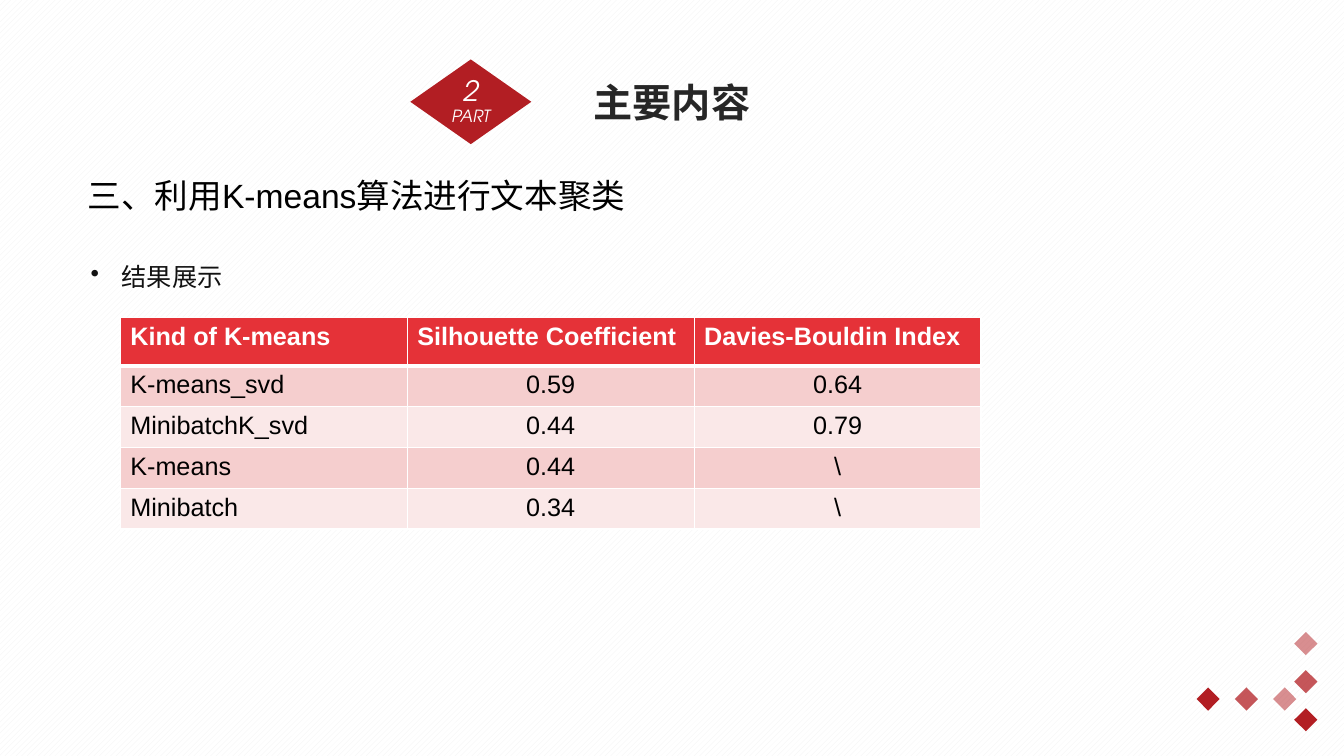
from dataclasses import dataclass

from lxml import etree
from pptx import Presentation
from pptx.dml.color import RGBColor
from pptx.enum.dml import MSO_PATTERN
from pptx.enum.shapes import MSO_SHAPE
from pptx.enum.text import MSO_ANCHOR, MSO_AUTO_SIZE, PP_ALIGN
from pptx.oxml.ns import qn
from pptx.util import Inches, Pt

DIAMOND = MSO_SHAPE.DIAMOND
DIAGONAL = MSO_PATTERN.WIDE_UPWARD_DIAGONAL
MIDDLE = MSO_ANCHOR.MIDDLE
GROW = MSO_AUTO_SIZE.SHAPE_TO_FIT_TEXT
LEFT, CENTER = PP_ALIGN.LEFT, PP_ALIGN.CENTER

# Grid: 100 columns by 100 rows over the whole slide
WIDTH, HEIGHT = Inches(13.33), Inches(7.5)


def col(n: float) -> int:
    return round(WIDTH * n / 100)


def row(n: float) -> int:
    return round(HEIGHT * n / 100)


@dataclass(frozen=True)
class Theme:
    accent: str = "B21E23"
    header: str = "E53238"
    bands: tuple = ("F5CECE", "FAE8E8")
    white: str = "FFFFFF"
    hatch: str = "F2F2F2"
    black: str = "000000"
    title: str = "262626"
    bullet: str = "121212"
    display_font: str = "TeX Gyre Adventor"
    body_font: str = "Arial"
    bullet_font: str = "Calibri"
    title_size: int = 28
    heading_size: int = 24
    number_size: int = 20
    body_size: int = 18
    part_size: int = 12


THEME = Theme()


@dataclass(frozen=True)
class Box:
    x: float
    y: float
    w: float
    h: float

    def emu(self) -> tuple:
        return col(self.x), row(self.y), col(self.w), row(self.h)


@dataclass(frozen=True)
class Style:
    font: str
    size: int
    color: str
    bold: bool = False
    italic: bool = False
    align: int = LEFT


@dataclass(frozen=True)
class Label:
    box: Box
    text: str
    style: Style
    bulleted: bool = False


@dataclass(frozen=True)
class Trail:
    """Three diamonds at equal steps."""
    x: float
    y: float
    dx: float
    dy: float
    rotation: int


def write(p, text: str, style: Style) -> None:
    p.text, p.alignment = text, style.align
    f = p.font
    f.name, f.size = style.font, Pt(style.size)
    f.bold, f.italic = style.bold, style.italic
    f.color.rgb = RGBColor.from_string(style.color)


def add_label(s, label: Label) -> None:
    tf = s.shapes.add_textbox(*label.box.emu()).text_frame
    tf.word_wrap, tf.auto_size = True, GROW
    p = tf.paragraphs[0]
    write(p, label.text, label.style)
    if label.bulleted:
        pPr = p._p.get_or_add_pPr()
        indent = Inches(0.31)
        pPr.set("marL", str(indent))
        pPr.set("indent", str(-indent))
        bullet = etree.Element(qn("a:buChar"), char="•")
        pPr.insert(0, bullet)


def add_diamond(shapes, box: Box, opacity: int = 100):
    sp = shapes.add_shape(DIAMOND, *box.emu())
    sp.shadow.inherit = False
    sp.line.fill.background()
    sp.fill.solid()
    sp.fill.fore_color.rgb = RGBColor.from_string(THEME.accent)
    if opacity < 100:
        color = sp.fill._xPr.find(qn("a:solidFill"))[0]
        etree.SubElement(color, qn("a:alpha"), val=str(opacity * 1000))
    return sp


def add_trail(s, trail: Trail) -> None:
    group = s.shapes.add_group_shape()
    for i, opacity in enumerate((50, 75, 100)):
        box = Box(trail.x + i * trail.dx, trail.y + i * trail.dy, 1.72, 3.07)
        add_diamond(group.shapes, box, opacity).rotation = trail.rotation


def add_badge(s, box: Box, lines: tuple) -> None:
    tf = add_diamond(s.shapes, box).text_frame
    tf.word_wrap, tf.vertical_anchor = True, MIDDLE
    tf.margin_left = tf.margin_right = tf.margin_top = tf.margin_bottom = 0
    for i, (text, size) in enumerate(lines):
        p = tf.add_paragraph() if i else tf.paragraphs[0]
        write(p, text, Style(THEME.display_font, size, THEME.white,
                             italic=True, align=CENTER))
        p.line_spacing = 0.9


def set_borders(cell, top: int, bottom: int) -> None:
    tcPr = cell._tc.get_or_add_tcPr()
    for side, width in (("L", 1), ("R", 1), ("T", top), ("B", bottom)):
        ln = etree.SubElement(tcPr, qn(f"a:ln{side}"), w=str(Pt(width)))
        fill = etree.SubElement(ln, qn("a:solidFill"))
        etree.SubElement(fill, qn("a:srgbClr"), val=THEME.white)


def add_results(s, box: Box, header_height: float, rows: tuple) -> None:
    table = s.shapes.add_table(len(rows), len(rows[0]), *box.emu()).table
    table.horz_banding = False
    body_height = (box.h - header_height) / (len(rows) - 1)
    for column in table.columns:
        column.width = col(box.w / len(rows[0]))
    for i, values in enumerate(rows):
        header = i == 0
        table.rows[i].height = row(header_height if header else body_height)
        for j, value in enumerate(values):
            cell = table.cell(i, j)
            write(cell.text_frame.paragraphs[0], value, Style(
                THEME.body_font, THEME.body_size,
                THEME.white if header else THEME.black, bold=header,
                align=LEFT if header or j == 0 else CENTER))
            set_borders(cell, 3 if i == 1 else 1, 3 if header else 1)
            cell.fill.solid()
            color = THEME.header if header else THEME.bands[(i - 1) % 2]
            cell.fill.fore_color.rgb = RGBColor.from_string(color)


TRAILS = (Trail(96.3, 83.6, 0, 5.04, 90), Trail(94.73, 90.93, -2.85, 0, 180))
TITLE = Label(Box(35.55, 9.73, 28.88, 7.6), "主要内容",
              Style(THEME.display_font, THEME.title_size, THEME.title,
                    bold=True, align=CENTER))
HEADING = Label(Box(5.78, 22.53, 92.4, 6.67), "三、利用K-means算法进行文本聚类",
                Style(THEME.body_font, THEME.heading_size, THEME.black))
BULLET = Label(Box(6, 33.87, 88, 5.33), "结果展示",
               Style(THEME.bullet_font, THEME.body_size, THEME.bullet),
               bulleted=True)
RESULTS = (
    ("Kind of K-means", "Silhouette Coefficient", "Davies-Bouldin Index"),
    ("K-means_svd", "0.59", "0.64"),
    ("MinibatchK_svd", "0.44", "0.79"),
    ("K-means", "0.44", "\\"),
    ("Minibatch", "0.34", "\\"),
)


def main() -> None:
    prs = Presentation()
    prs.slide_width, prs.slide_height = WIDTH, HEIGHT
    s = prs.slides.add_slide(prs.slide_layouts[6])

    # Hatched background
    fill = s.background.fill
    fill.patterned()
    fill.pattern = DIAGONAL
    fill.fore_color.rgb = RGBColor.from_string(THEME.hatch)
    fill.back_color.rgb = RGBColor.from_string(THEME.white)

    # Corner ornament
    for trail in TRAILS:
        add_trail(s, trail)

    # Title with part badge, then the section text
    add_label(s, TITLE)
    add_badge(s, Box(30.53, 7.87, 9, 11.2),
              (("2", THEME.number_size), ("PART", THEME.part_size)))
    add_label(s, HEADING)
    add_label(s, BULLET)

    # Clustering scores
    add_results(s, Box(8.95, 42, 64.05, 28), 6.4, RESULTS)
    prs.save("out.pptx")


if __name__ == "__main__":
    main()
